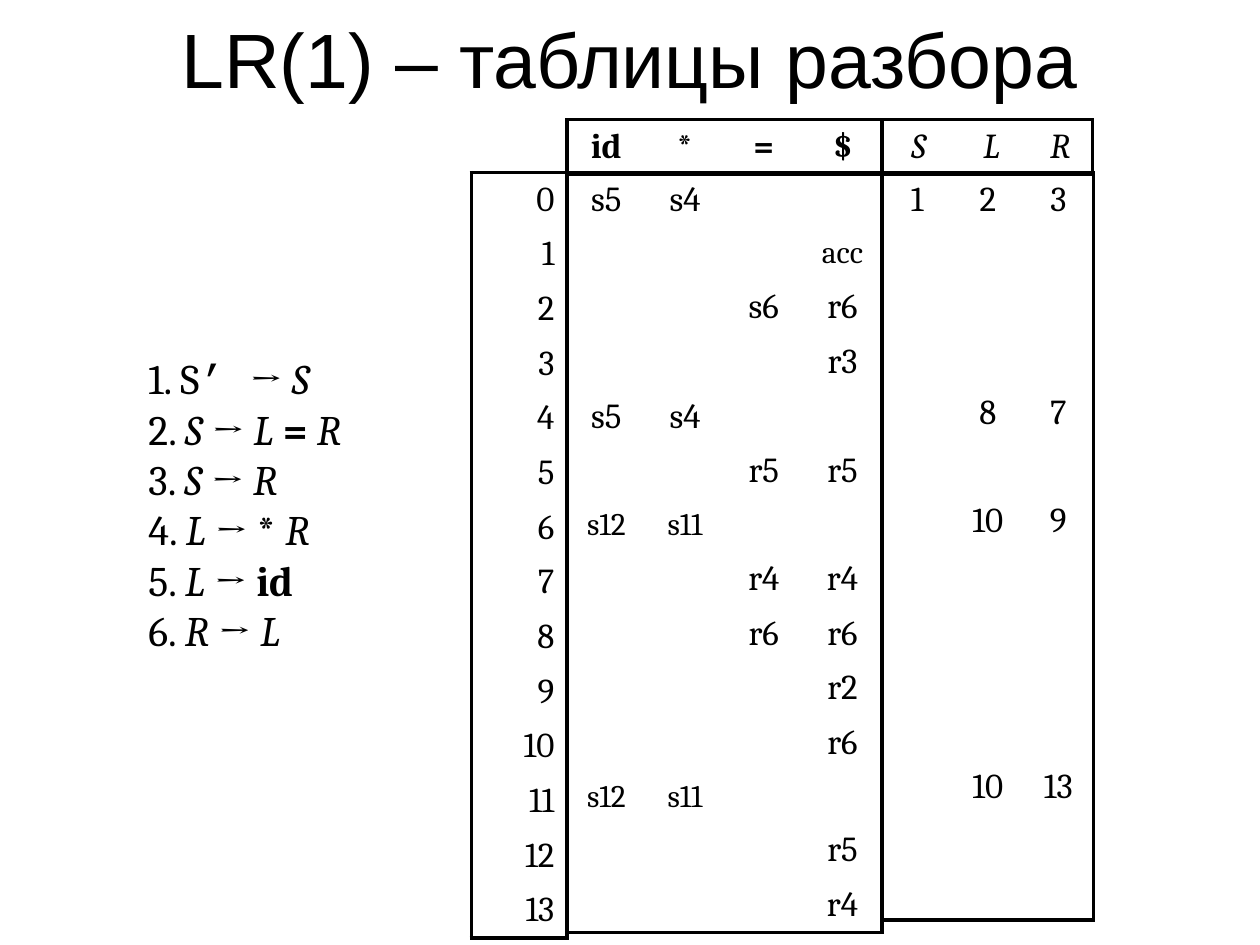
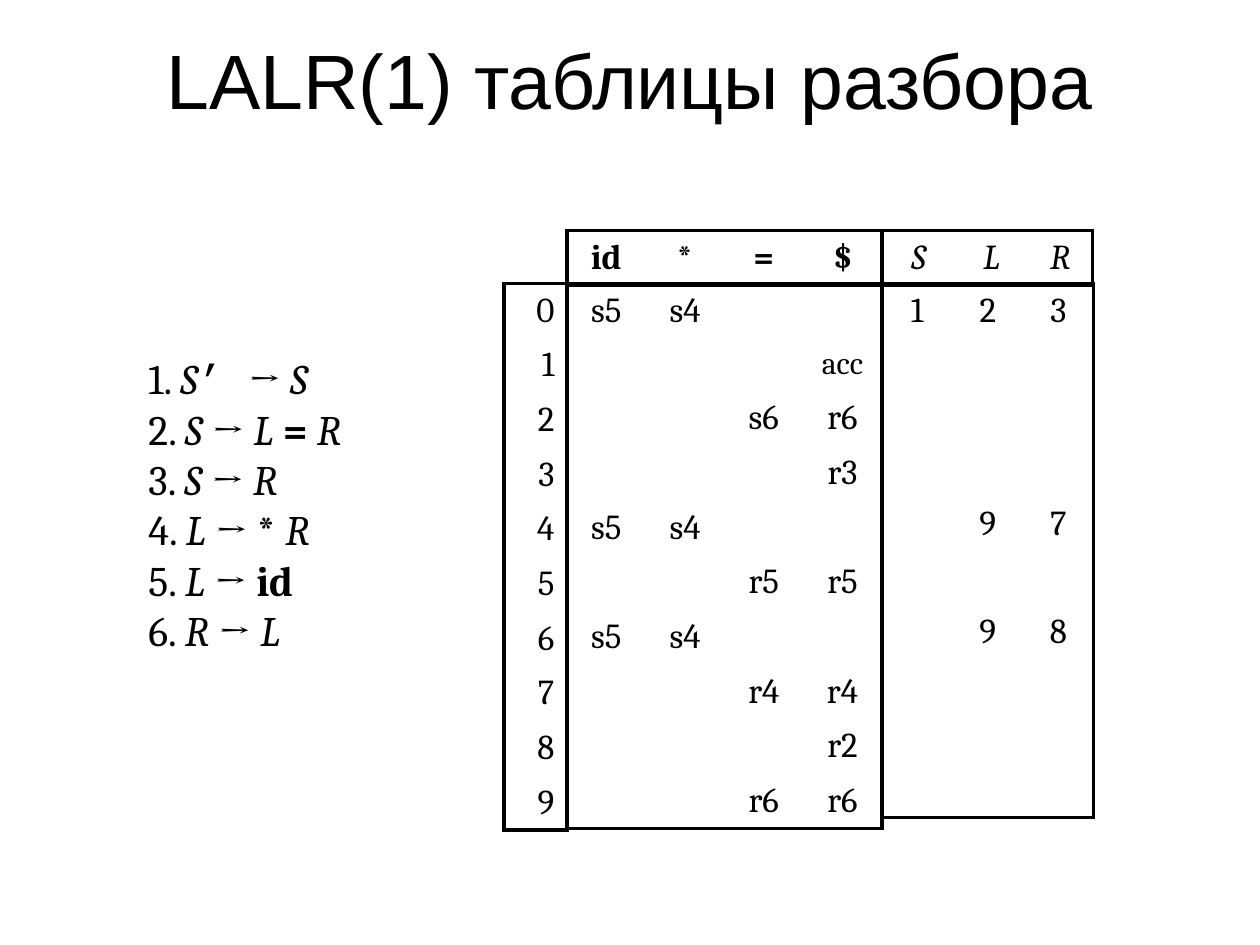
from lxml import etree
from pptx import Presentation
from pptx import util as u
from pptx.dml.color import RGBColor
from pptx.enum import text
from pptx.oxml import ns

BLACK = "000000"
TITLE_FORMAT = {"name": "Arial", "size": u.Pt(44)}
CELL_FORMAT = {"name": "Cambria", "size": u.Pt(20)}
RULE_FORMAT = {"name": "Cambria", "size": u.Pt(24)}
SMALL_ENTRIES = {"acc", "s11", "s12"}
NO_STYLE = "{2D5ABB26-0587-4C30-8999-92F81FD0307C}"
BORDER = u.Pt(2.25)
ROW_HEIGHT = 0.42
ACTION_LEFT, ACTION_WIDTHS = 4.5, [0.625] * 4
GOTO_LEFT, GOTO_WIDTHS = 7, [0.56] * 3
GOTO_HEADER_WIDTHS = [0.58, 0.58, 0.51]

GRAMMAR = ["1. S ’ → S", "2. S → L = R", "3. S → R",
           "4. L → * R", "5. L → id", "6. R → L"]
TERMINALS = {"=", "*", "id"}

# One string per state; a dot marks an empty cell.
LR_ACTIONS = ["s5 s4 . .", ". . . acc", ". . s6 r6", ". . . r3", "s5 s4 . .",
              ". . r5 r5", "s12 s11 . .", ". . r4 r4", ". . r6 r6", ". . . r2",
              ". . . r6", "s12 s11 . .", ". . . r5", ". . . r4"]
LR_GOTOS = {0: "1 2 3", 4: ". 8 7", 6: ". 10 9", 11: ". 10 13"}
LALR_ACTIONS = ["s5 s4 . .", ". . . acc", ". . s6 r6", ". . . r3", "s5 s4 . .",
                ". . r5 r5", "s5 s4 . .", ". . r4 r4", ". . . r2", ". . r6 r6"]
LALR_GOTOS = {0: "1 2 3", 4: ". 9 7", 6: ". 9 8"}


def color(value):
    return RGBColor.from_string(value)


def add_span(para, words, **formats):
    span = para.add_run()
    span.text = words
    for name, value in formats.items():
        setattr(span.font, name, value)
    span.font.color.rgb = color(BLACK)


def add_box(page, left, top, width, height):
    return page.shapes.add_textbox(*map(u.Inches, (left, top, width, height))).text_frame


def add_title(page, words, height):
    frame = add_box(page, 0.75, 0, 8.5, height)
    frame.word_wrap = True
    frame.vertical_anchor = text.MSO_ANCHOR.MIDDLE
    para = frame.paragraphs[0]
    para.alignment = text.PP_ALIGN.CENTER
    add_span(para, words, **TITLE_FORMAT)


def add_grammar(page, start_italic):
    """List the rules, with italic nonterminals and bold terminals."""
    frame = add_box(page, 1.08, 2.75, 1.95, 2.5)
    frame.word_wrap = False
    para = frame.paragraphs[0]
    for number, rule in enumerate(GRAMMAR):
        if number:
            para.add_line_break()
        symbols = rule.split()
        for place, symbol in enumerate(symbols):
            formats = dict(RULE_FORMAT, bold=symbol in TERMINALS,
                           italic=symbol in {"S", "L", "R"})
            if symbol == "’":
                formats["name"] = "Courier New"
            is_start = symbols[place + 1:place + 2] == ["’"]
            if is_start:
                formats["italic"] = start_italic
            is_last = place == len(symbols) - 1
            add_span(para, symbol if is_start or is_last else symbol + " ", **formats)


def set_borders(cell, sides):
    """Draw the borders named in sides and clear the others."""
    properties = cell._tc.get_or_add_tcPr()
    for side in "LRTB":
        line = etree.SubElement(properties, ns.qn(f"a:ln{side}"), w=str(BORDER))
        if side in sides:
            fill = etree.SubElement(line, ns.qn("a:solidFill"))
            etree.SubElement(fill, ns.qn("a:srgbClr"), val=BLACK)
        else:
            etree.SubElement(line, ns.qn("a:noFill"))


def add_grid(page, left, top, widths, rows, row_height=ROW_HEIGHT,
             align=text.PP_ALIGN.CENTER, **formats):
    """Add a table with a frame around it and no inner lines."""
    frame = page.shapes.add_table(
        len(rows), len(widths), u.Inches(left), u.Inches(top),
        u.Inches(sum(widths)), u.Inches(row_height * len(rows)))
    grid = frame.table
    grid.first_row = grid.horz_banding = False
    grid._tbl.tblPr.find(ns.qn("a:tableStyleId")).text = NO_STYLE
    for column, width in zip(grid.columns, widths):
        column.width = u.Inches(width)
    for y, row in enumerate(rows):
        grid.rows[y].height = u.Inches(row_height)
        for x, entry in enumerate(row.split()):
            cell = grid.cell(y, x)
            edges = {"L": x == 0, "R": x == len(widths) - 1,
                     "T": y == 0, "B": y == len(rows) - 1}
            set_borders(cell, [side for side, drawn in edges.items() if drawn])
            cell.fill.background()
            cell.vertical_anchor = text.MSO_ANCHOR.MIDDLE
            if entry == ".":
                continue
            para = cell.text_frame.paragraphs[0]
            para.alignment = align
            para.space_before = u.Pt(8)
            style = dict(CELL_FORMAT, **formats)
            if entry in SMALL_ENTRIES:
                style["size"] = u.Pt(18)
            add_span(para, entry, **style)


def add_parse_table(page, top, actions, gotos, state_width, state_row_height):
    """Place the action, state and goto grids around a common header line."""
    body_top = top + ROW_HEIGHT
    states = [str(state) for state in range(len(actions))]
    add_grid(page, ACTION_LEFT, body_top, ACTION_WIDTHS, actions)
    add_grid(page, ACTION_LEFT, top, ACTION_WIDTHS, ["id * = $"], bold=True)
    add_grid(page, ACTION_LEFT - state_width, body_top, [state_width], states,
             state_row_height, text.PP_ALIGN.RIGHT)
    add_grid(page, GOTO_LEFT, top, GOTO_HEADER_WIDTHS, ["S L R"], italic=True)
    goto_rows = [gotos.get(state, ". . .") for state in range(len(actions))]
    add_grid(page, GOTO_LEFT, body_top, GOTO_WIDTHS, goto_rows)


def main():
    deck = Presentation()
    deck.slide_width, deck.slide_height = u.Inches(10), u.Inches(7.5)
    blank = deck.slide_layouts[6]

    page = deck.slides.add_slide(blank)
    add_title(page, "LR(1) – таблицы разбора", 0.91)
    add_parse_table(page, 0.95, LR_ACTIONS, LR_GOTOS, 0.76, 5.96 / len(LR_ACTIONS))
    add_grammar(page, start_italic=False)

    page = deck.slides.add_slide(blank)
    add_title(page, "LALR(1) таблицы разбора", 1.25)
    add_parse_table(page, 1.83, LALR_ACTIONS, LALR_GOTOS, 0.5, ROW_HEIGHT)
    add_grammar(page, start_italic=True)

    deck.save("out.pptx")


if __name__ == "__main__":
    main()
